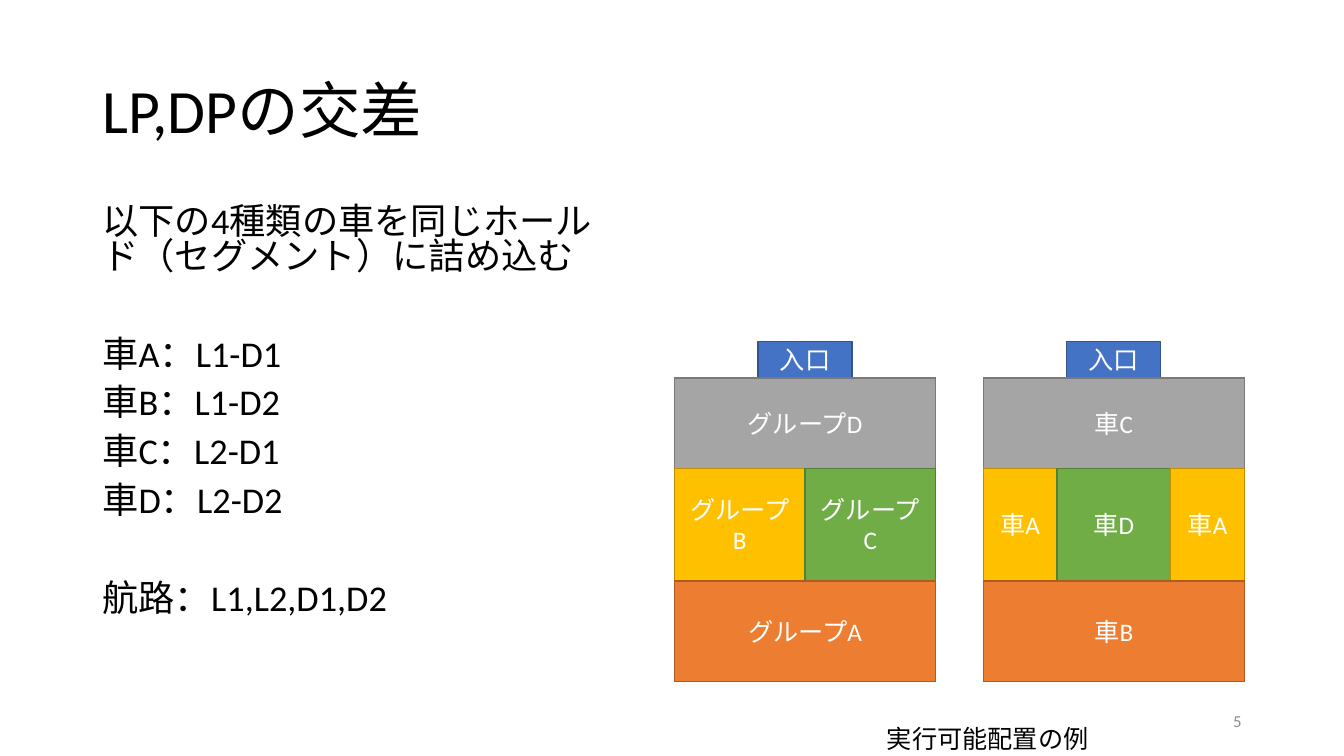
import pptx
import pptx.util
import pptx.dml.color
import pptx.enum.shapes
import pptx.enum.text

Cm, Pt = pptx.util.Cm, pptx.util.Pt
RGBColor = pptx.dml.color.RGBColor
ALIGN = pptx.enum.text.PP_ALIGN
ANCHOR = pptx.enum.text.MSO_ANCHOR

FONT = "Calibri"
BLACK = RGBColor(0x00, 0x00, 0x00)
WHITE = RGBColor(0xFF, 0xFF, 0xFF)
NUMBER_GRAY = RGBColor(0x8C, 0x8C, 0x8C)
# Each colour is a pair of fill and outline.
BLUE = (RGBColor(0x44, 0x72, 0xC4), RGBColor(0x32, 0x54, 0x91))
ORANGE = (RGBColor(0xED, 0x7D, 0x31), RGBColor(0xAF, 0x5C, 0x24))
YELLOW = (RGBColor(0xFF, 0xC0, 0x00), RGBColor(0xBD, 0x8E, 0x00))
GREEN = (RGBColor(0x70, 0xAD, 0x47), RGBColor(0x53, 0x80, 0x35))
GRAY = (RGBColor(0xA5, 0xA5, 0xA5), RGBColor(0x7A, 0x7A, 0x7A))

HOLD_SIZE = (6.58, 7.65)
ROW_HEIGHTS = (2.27, 2.84, 2.54)
ENTRANCE_SIZE = (2.37, 0.92)


def add_run(paragraph, words, size, color):
    """Append one run of text to a paragraph."""
    run = paragraph.add_run()
    run.text = words
    run.font.name = FONT
    run.font.size = Pt(size)
    run.font.color.rgb = color


def add_text(slide, box, lines, size, color=BLACK, anchor=ANCHOR.TOP,
             align=ALIGN.LEFT, spacing=1.0, wrap=True):
    """Write lines, given as (words, points before), into a text box."""
    frame = slide.shapes.add_textbox(*map(Cm, box)).text_frame
    frame.word_wrap = wrap
    frame.vertical_anchor = anchor
    for index, (words, before) in enumerate(lines):
        paragraph = frame.add_paragraph() if index else frame.paragraphs[0]
        paragraph.alignment = align
        paragraph.line_spacing = spacing
        paragraph.space_before = Pt(before)
        add_run(paragraph, words, size, color)


def add_block(slide, box, label, colors):
    """Draw a labelled rectangle; a block without a label is left unfilled."""
    fill, outline = colors
    block = slide.shapes.add_shape(
        pptx.enum.shapes.MSO_SHAPE.RECTANGLE, *map(Cm, box))
    block.shadow.inherit = False
    block.line.color.rgb = outline
    block.line.width = Pt(1)
    if not label:
        block.fill.background()
        return
    block.fill.solid()
    block.fill.fore_color.rgb = fill
    frame = block.text_frame
    frame.word_wrap = True
    frame.vertical_anchor = ANCHOR.MIDDLE
    frame.paragraphs[0].alignment = ALIGN.CENTER
    add_run(frame.paragraphs[0], label, 18, WHITE)


def add_hold(slide, left, top, rows):
    """Draw a hold with its entrance; rows hold (label, colours, share)."""
    width, height = HOLD_SIZE
    add_block(slide, (left, top, width, height), "", BLUE)
    door_width, door_height = ENTRANCE_SIZE
    add_block(slide, (left + (width - door_width) / 2, top - door_height,
                      door_width, door_height), "入口", BLUE)
    for row, row_height in zip(rows, ROW_HEIGHTS):
        total = sum(share for _, _, share in row)
        x = left
        for label, colors, share in row:
            block_width = width * share / total
            add_block(slide, (x, top, block_width, row_height), label, colors)
            x += block_width
        top += row_height


def add_explanation(slide, left, top, width):
    """Write the title and the list of cars and ports."""
    add_text(slide, (left, top, 29.21, 3.68), [("LP,DPの交差", 0)], 44,
             anchor=ANCHOR.MIDDLE, spacing=0.9)
    gap, section_gap = 10, 45
    lines = [
        ("以下の4種類の車を同じホールド（セグメント）に詰め込む", gap),
        ("車A：L1-D1", section_gap),
        ("車B：L1-D2", gap),
        ("車C：L2-D1", gap),
        ("車D：L2-D2", gap),
        ("航路：L1,L2,D1,D2", section_gap),
    ]
    add_text(slide, (left, top + 4.06, width, 12.09), lines, 25.9, spacing=0.8)


def add_arrangements(slide, left, top):
    """Draw the two example holds side by side with their caption."""
    by_group = [
        [("グループD", GRAY, 1)],
        [("グループB", YELLOW, 1), ("グループC", GREEN, 1)],
        [("グループA", ORANGE, 1)],
    ]
    by_car = [
        [("車C", GRAY, 1)],
        [("車A", YELLOW, 1.84), ("車D", GREEN, 2.85), ("車A", YELLOW, 1.84)],
        [("車B", ORANGE, 1)],
    ]
    for index, rows in enumerate((by_group, by_car)):
        add_hold(slide, left + index * 7.78, top, rows)
    add_text(slide, (left + 5.1, top + 8.56, 5.64, 1.02),
             [("実行可能配置の例", 0)], 18, wrap=False)


def add_page_number(slide, left, top):
    """Write the slide number at the lower right."""
    add_text(slide, (left, top, 7.62, 1.02), [("5", 0)], 12, NUMBER_GRAY,
             ANCHOR.MIDDLE, ALIGN.RIGHT)


presentation = pptx.Presentation()
presentation.slide_width = Cm(33.87)
presentation.slide_height = Cm(19.05)
crossing = presentation.slides.add_slide(presentation.slide_layouts[6])
add_explanation(crossing, 2.33, 1.02, 12.85)
add_arrangements(crossing, 17.0, 9.53)
add_page_number(crossing, 23.92, 17.65)
presentation.save("out.pptx")
